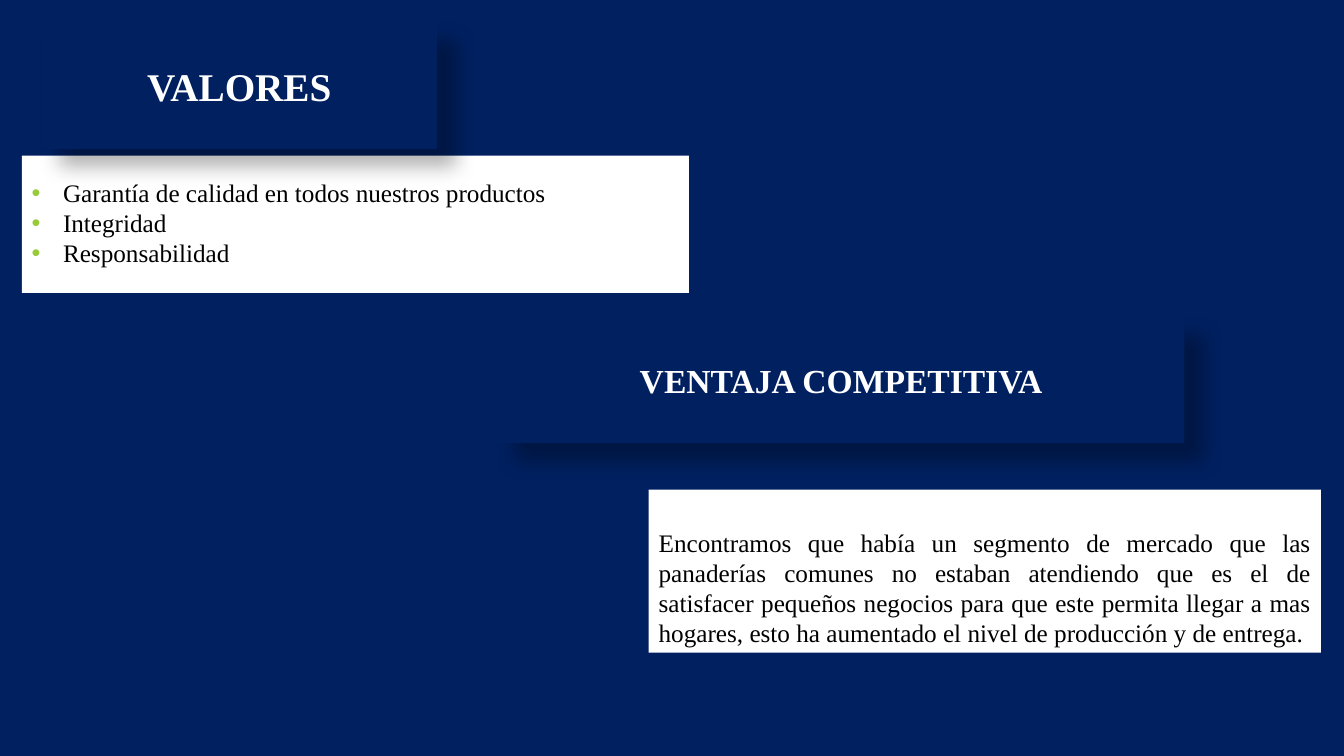
import pptx
import pptx.dml.color
import pptx.enum.text
import pptx.oxml
import pptx.oxml.ns
import pptx.util
from dataclasses import dataclass

Cm = pptx.util.Cm
Pt = pptx.util.Pt
ALIGN = pptx.enum.text.PP_ALIGN
ANCHOR = pptx.enum.text.MSO_ANCHOR
NAMESPACE = pptx.oxml.ns.nsdecls("a")


@dataclass(frozen=True)
class Theme:
    font: str = "Times New Roman"
    navy: str = "002060"
    white: str = "FFFFFF"
    black: str = "000000"
    green: str = "99CB38"
    title_size: int = 28
    heading_size: int = 24
    body_size: int = 18


def rgb(code):
    return pptx.dml.color.RGBColor.from_string(code)


class SlideBuilder:
    def __init__(self, page, theme):
        self.page = page
        self.theme = theme
        page.background.fill.solid()
        page.background.fill.fore_color.rgb = rgb(theme.navy)

    def place(self, box, area, color, anchor):
        box.left, box.top, box.width, box.height = (Cm(value) for value in area)
        box.fill.solid()
        box.fill.fore_color.rgb = rgb(color)
        box.line.fill.background()
        frame = box.text_frame
        frame.word_wrap = True
        frame.auto_size = pptx.enum.text.MSO_AUTO_SIZE.NONE
        frame.vertical_anchor = anchor

    def style(self, para, size, color, align, bold=False):
        para.alignment = align
        for span in para.runs:
            span.font.name = self.theme.font
            span.font.size = Pt(size)
            span.font.bold = bold
            span.font.color.rgb = rgb(color)

    def text_box(self):
        return self.page.shapes.add_textbox(0, 0, 0, 0)

    def add_shadow(self, box):
        box._element.spPr.append(pptx.oxml.parse_xml(
            f'<a:effectLst {NAMESPACE}><a:outerShdw blurRad="{Pt(15)}" dist="{Pt(18)}" '
            'dir="2700000" algn="tl" rotWithShape="0"><a:srgbClr val="000000">'
            '<a:alpha val="30000"/></a:srgbClr></a:outerShdw></a:effectLst>'))

    def heading(self, box, text, area, size):
        self.place(box, area, self.theme.navy, ANCHOR.MIDDLE)
        self.add_shadow(box)
        box.text_frame.text = text
        self.style(box.text_frame.paragraphs[0], size, self.theme.white, ALIGN.CENTER, True)

    def title(self, text, area):
        box = self.page.shapes.title
        self.heading(box, text, area, self.theme.title_size)
        # Bring the title forward so its shadow falls on the panel below
        self.page.shapes._spTree.append(box._element)

    def subheading(self, text, area):
        self.heading(self.text_box(), text, area, self.theme.heading_size)

    def add_bullet(self, para):
        properties = para._p.get_or_add_pPr()
        properties.set("marL", str(Cm(0.79)))
        properties.set("indent", str(-Cm(0.79)))
        for markup in (
            f'<a:buClr {NAMESPACE}><a:srgbClr val="{self.theme.green}"/></a:buClr>',
            f'<a:buFont {NAMESPACE} typeface="Arial"/>',
            f'<a:buChar {NAMESPACE} char="•"/>',
        ):
            properties.append(pptx.oxml.parse_xml(markup))

    def bullet_panel(self, items, area):
        box = self.text_box()
        self.place(box, area, self.theme.white, ANCHOR.MIDDLE)
        box.text_frame.text = "\n".join(items)
        for para in box.text_frame.paragraphs:
            self.add_bullet(para)
            para.line_spacing = 0.9
            para.space_after = Pt(2)
            self.style(para, self.theme.body_size, self.theme.black, ALIGN.LEFT)

    def text_panel(self, text, area):
        box = self.text_box()
        self.place(box, area, self.theme.white, ANCHOR.BOTTOM)
        box.text_frame.text = text
        self.style(box.text_frame.paragraphs[0], self.theme.body_size,
                   self.theme.black, ALIGN.JUSTIFY)


def main():
    deck = pptx.Presentation()
    deck.slide_width, deck.slide_height = Cm(33.87), Cm(19.05)
    page = deck.slides.add_slide(deck.slide_layouts.get_by_name("Title Only"))
    builder = SlideBuilder(page, Theme())

    # Values
    builder.bullet_panel(
        ["Garantía de calidad en todos nuestros productos", "Integridad", "Responsabilidad"],
        (0.55, 3.92, 16.81, 3.46))
    builder.title("VALORES", (1.04, 0.56, 9.98, 3.2))

    # Competitive advantage
    builder.text_panel(
        "Encontramos que había un segmento de mercado que las panaderías comunes no "
        "estaban atendiendo que es el de satisfacer pequeños negocios para que este "
        "permita llegar a mas hogares, esto ha aumentado el nivel de producción y de entrega.",
        (16.35, 12.34, 16.94, 4.11))
    builder.subheading("VENTAJA COMPETITIVA", (12.55, 7.97, 17.3, 3.2))

    deck.save("out.pptx")


if __name__ == "__main__":
    main()
